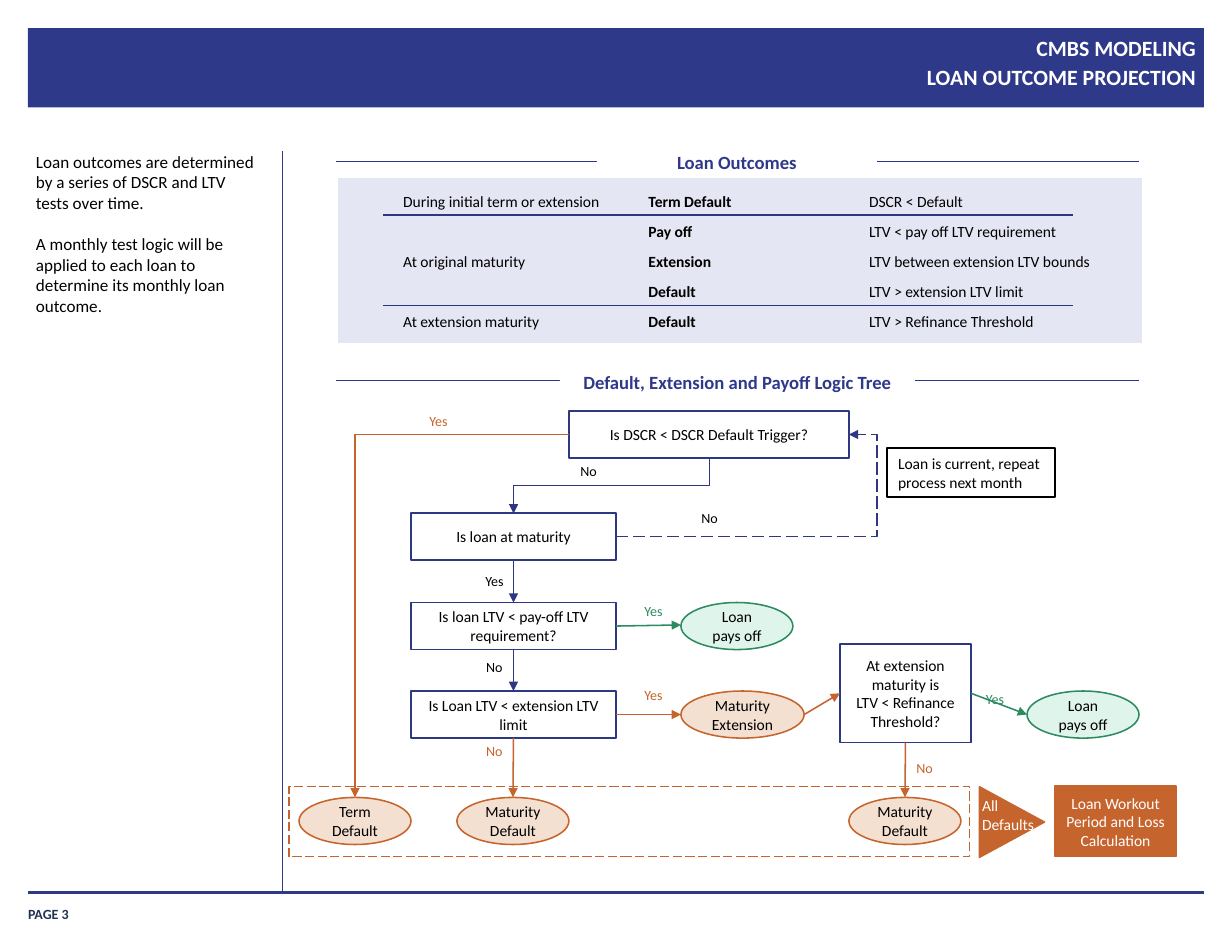
import pptx
import pptx.util
import pptx.dml.color
import pptx.enum.dml
import pptx.enum.shapes
import pptx.enum.text
import pptx.oxml
import pptx.oxml.ns

Inches, Pt = pptx.util.Inches, pptx.util.Pt
RGB = pptx.dml.color.RGBColor
MSO = pptx.enum.shapes.MSO_SHAPE
CXN = pptx.enum.shapes.MSO_CONNECTOR
ANCHOR = pptx.enum.text.MSO_ANCHOR
ALIGN = pptx.enum.text.PP_ALIGN
DASH = pptx.enum.dml.MSO_LINE.LONG_DASH
qn = pptx.oxml.ns.qn

BLUE = RGB(0x2E, 0x39, 0x8A)
RULE = RGB(0x2B, 0x36, 0x89)
NAVY = RGB(0x2E, 0x37, 0x81)
PAGE = RGB(0x20, 0x33, 0x53)
PANEL = RGB(0xE5, 0xE6, 0xF3)
GREEN = RGB(0x2E, 0x8A, 0x60)
MINT = RGB(0xDF, 0xF5, 0xEB)
ORANGE = RGB(0xC6, 0x64, 0x2E)
PEACH = RGB(0xF4, 0xE0, 0xD0)
WHITE = RGB(0xFF, 0xFF, 0xFF)
BLACK = RGB(0, 0, 0)

prs = pptx.Presentation()
prs.slide_width, prs.slide_height = Inches(11), Inches(8.5)
s = prs.slides.add_slide(prs.slide_layouts[5])


def write(tf, text, size=10, color=BLACK, bold=False, align=ALIGN.CENTER,
          anchor=ANCHOR.MIDDLE, inset=None, spacing=None, gap=0):
    """Fill a text frame, one paragraph per line of text."""
    tf.word_wrap = True
    tf.vertical_anchor = anchor
    if inset is not None:
        tf.margin_left = tf.margin_right = tf.margin_top = tf.margin_bottom = Inches(inset)
    for i, line in enumerate(text.split("\n")):
        p = tf.paragraphs[0] if i == 0 else tf.add_paragraph()
        p.text = line
        p.alignment = align
        p.line_spacing = spacing
        p.space_before = Pt(gap if i else 0)
        for r in p.runs:
            r.font.name, r.font.size, r.font.bold = "Calibri", Pt(size), bold
            r.font.color.rgb = color


def line(x1, y1, x2, y2, color=NAVY, width=1, kind=CXN.STRAIGHT, arrow=False):
    c = s.shapes.add_connector(kind, Inches(x1), Inches(y1), Inches(x2), Inches(y2))
    c.line.color.rgb, c.line.width = color, Pt(width)
    if arrow:
        pptx.oxml.ns  # arrowhead goes after the line's fill
        ln = c.line._get_or_add_ln()
        ln.append(ln.makeelement(qn("a:tailEnd"), {"type": "triangle"}))
    sppr = c._element.spPr
    sppr.append(sppr.makeelement(qn("a:effectLst"), {}))
    return c


# Header band, title, footer, side rule
band = s.shapes.add_shape(MSO.RECTANGLE, Inches(0.25), Inches(0.25), Inches(10.5), Inches(0.71))
band.shadow.inherit = False
band.fill.solid()
band.fill.fore_color.rgb = BLUE
band.line.fill.background()
s.shapes._spTree.insert(2, band._element)

title = s.shapes.title
title.left, title.top, title.width, title.height = Inches(3.17), Inches(0.29), Inches(7.51), Inches(0.67)
title.text_frame.auto_size = pptx.enum.text.MSO_AUTO_SIZE.NONE
write(title.text_frame, "CMBS MODELING\vLOAN OUTCOME PROJECTION", size=14, color=WHITE, bold=True,
      align=ALIGN.RIGHT, anchor=ANCHOR.TOP, inset=0, spacing=1.1)
line(0.25, 7.97, 10.75, 7.97, BLUE, 2.25)
line(2.52, 1.35, 2.52, 7.98, BLUE, 0.5)

# Shapes: geometry, left, top, width, height, fill, line colour, line width
shape_rows = {
    "panel": (MSO.RECTANGLE, 3, 1.58, 7.21, 1.5, PANEL, WHITE, 2, ""),
    "trigger": (MSO.RECTANGLE, 5.08, 3.67, 2.5, 0.42, None, NAVY, 1, "Is DSCR < DSCR Default Trigger?"),
    "maturity": (MSO.RECTANGLE, 3.67, 4.58, 1.83, 0.42, None, NAVY, 1, "Is loan at maturity"),
    "payoff": (MSO.RECTANGLE, 3.67, 5.38, 1.83, 0.42, None, NAVY, 1, "Is loan LTV < pay-off LTV requirement?"),
    "limit": (MSO.RECTANGLE, 3.67, 6.17, 1.83, 0.42, None, NAVY, 1, "Is Loan LTV < extension LTV limit"),
    "refinance": (MSO.RECTANGLE, 7.5, 5.75, 1.17, 0.88, None, NAVY, 1,
                  "At extension maturity is\nLTV < Refinance Threshold?"),
    "paid": (MSO.OVAL, 6.08, 5.38, 1, 0.42, MINT, GREEN, 1, "Loan pays off"),
    "extension": (MSO.OVAL, 6.08, 6.17, 1.1, 0.42, PEACH, ORANGE, 1, "Maturity\nExtension"),
    "paid late": (MSO.OVAL, 9.17, 6.17, 1, 0.42, MINT, GREEN, 1, "Loan pays off"),
    "term default": (MSO.OVAL, 2.67, 7.12, 1, 0.42, PEACH, ORANGE, 1, "Term Default"),
    "maturity default": (MSO.OVAL, 4.08, 7.12, 1, 0.42, PEACH, ORANGE, 1, "Maturity Default"),
    "late default": (MSO.OVAL, 7.58, 7.12, 1, 0.42, PEACH, ORANGE, 1, "Maturity Default"),
    "all defaults": (MSO.RECTANGLE, 2.58, 7.02, 6.08, 0.63, None, ORANGE, 0.75, ""),
    "workout": (MSO.RECTANGLE, 9.42, 7.02, 1.08, 0.63, ORANGE, ORANGE, 1,
                "Loan Workout Period and Loss Calculation"),
    "pointer": (MSO.ISOSCELES_TRIANGLE, 8.72, 7.05, 0.63, 0.58, ORANGE, ORANGE, 1, ""),
    "repeat": (MSO.RECTANGLE, 7.92, 4, 1.5, 0.44, None, BLACK, 1, "Loan is current, repeat process next month"),
}
shapes = {}
for name, (kind, x, y, w, h, fill, edge, width, text) in shape_rows.items():
    sp = shapes[name] = s.shapes.add_shape(kind, Inches(x), Inches(y), Inches(w), Inches(h))
    sp.shadow.inherit = False
    if fill is None:
        sp.fill.background()
    else:
        sp.fill.solid()
        sp.fill.fore_color.rgb = fill
    sp.line.color.rgb, sp.line.width = edge, Pt(width)
    if text:
        write(sp.text_frame, text, color=WHITE if fill == ORANGE else BLACK,
              align=ALIGN.LEFT if name == "repeat" else ALIGN.CENTER)
shapes["all defaults"].line.dash_style = DASH
shapes["pointer"].rotation = 90

# Straight arrows, joined to rectangles: (shape, site) at each end
for x1, y1, x2, y2, color, begin, end in [
    (4.58, 5, 4.58, 5.38, NAVY, ("maturity", 2), ("payoff", 0)),
    (4.58, 5.79, 4.58, 6.17, NAVY, ("payoff", 2), ("limit", 0)),
    (5.5, 5.58, 6.08, 5.58, GREEN, ("payoff", 3), None),
    (5.5, 6.38, 6.08, 6.38, ORANGE, ("limit", 3), None),
    (4.58, 6.58, 4.58, 7.12, ORANGE, ("limit", 2), None),
    (8.08, 6.63, 8.08, 7.12, ORANGE, ("refinance", 2), None),
    (8.67, 6.38, 9.17, 6.38, GREEN, ("refinance", 3), None),
    (7.18, 6.38, 7.5, 6.38, ORANGE, None, ("refinance", 1)),
]:
    c = line(x1, y1, x2, y2, color, arrow=True)
    if begin:
        c.begin_connect(shapes[begin[0]], begin[1])
    if end:
        c.end_connect(shapes[end[0]], end[1])

# Elbow arrows: down to the maturity test, back to the trigger, out to term default
down = line(5.21, 3.46, 5.71, 5.21, kind=CXN.ELBOW, arrow=True)
down._element.spPr.find(qn("a:xfrm")).set("rot", "5400000")
back = line(5.5, 4.79, 7.58, 3.88, kind=CXN.ELBOW, arrow=True)
back.line.dash_style = DASH
guides = back._element.spPr.find(qn("a:prstGeom")).get_or_add_avLst()
guides.append(guides.makeelement(qn("a:gd"), {"name": "adj1", "fmla": "val 112000"}))
out = line(5.08, 3.88, 3.17, 7.12, ORANGE, kind=CXN.ELBOW, arrow=True)
out._element.spPr.find(qn("a:prstGeom")).set("prst", "bentConnector2")

# Section headings, each breaking a rule
for y, x, w, text in [(1.44, 5.33, 2.5, "Loan Outcomes"),
                      (3.4, 5, 3.17, "Default, Extension and Payoff Logic Tree")]:
    line(3, y, 10.17, y, RULE, 0.75)
    sp = s.shapes.add_shape(MSO.RECTANGLE, Inches(x), Inches(y - 0.11), Inches(w), Inches(0.21))
    sp.shadow.inherit = False
    sp.fill.solid()
    sp.fill.fore_color.rgb = WHITE
    sp.line.fill.background()
    write(sp.text_frame, text, size=12, color=BLUE, bold=True, anchor=ANCHOR.TOP, inset=0, spacing=1.1)

# Branch labels
labels = [(x, y, 0.67, 0.25, text, dict(size=9, color=color)) for x, y, text, color in [
    (4.92, 4.08, "No", BLACK), (6, 4.5, "No", BLACK), (4.08, 5.06, "Yes", BLACK),
    (4.08, 5.83, "No", BLACK), (5.5, 5.33, "Yes", GREEN), (5.5, 6.08, "Yes", ORANGE),
    (8.55, 6.12, "Yes", GREEN), (7.92, 6.73, "No", ORANGE), (4.08, 6.58, "No", ORANGE),
    (3.58, 3.63, "Yes", ORANGE)]]
# Other text
labels += [
    (0.32, 1.35, 2.01, 2.83,
     "Loan outcomes are determined by a series of DSCR and LTV tests over time.\n"
     "A monthly test logic will be applied to each loan to determine its monthly loan outcome.",
     dict(size=11, align=ALIGN.LEFT, inset=0, gap=13.4)),
    (0.25, 8.01, 0.91, 0.23, "PAGE 3",
     dict(size=9, color=PAGE, bold=True, align=ALIGN.LEFT, anchor=ANCHOR.BOTTOM, inset=0)),
    (8.67, 7.06, 0.75, 0.44, "All\nDefaults", dict(color=WHITE, align=ALIGN.LEFT)),
]
for x, y, w, h, text, style in labels:
    sp = s.shapes.add_textbox(Inches(x), Inches(y), Inches(w), Inches(h))
    write(sp.text_frame, text, **{"anchor": ANCHOR.TOP, **style})

# Outcomes table
outcomes = [
    ("During initial term or extension", "Term Default", "DSCR < Default"),
    ("At original maturity", "Pay off", "LTV < pay off LTV requirement"),
    ("", "Extension", "LTV between extension LTV bounds"),
    ("", "Default", "LTV > extension LTV limit"),
    ("At extension maturity", "Default", "LTV > Refinance Threshold"),
]
frame = s.shapes.add_table(5, 3, Inches(3.5), Inches(1.67), Inches(6.58), Inches(1.33))
table = frame.table
table.first_row = table.horz_banding = False
# "No Style, No Grid"
table._tbl.tblPr.find(qn("a:tableStyleId")).text = "{2D5ABB26-0587-4C30-8999-92F81FD0307C}"
for column, w in zip(table.columns, (2.19, 1.97, 2.42)):
    column.width = Inches(w)
table.cell(1, 0).merge(table.cell(3, 0))
for i, row in enumerate(outcomes):
    for j, text in enumerate(row):
        cell = table.cell(i, j)
        cell.fill.background()
        if text:
            write(cell.text_frame, text, bold=j == 1, align=ALIGN.LEFT, anchor=None)
            cell.vertical_anchor = ANCHOR.MIDDLE if cell.is_merge_origin else ANCHOR.TOP
for y in (1.92, 2.73):
    line(3.42, y, 9.58, y, RULE, 0.75)

prs.save("out.pptx")
